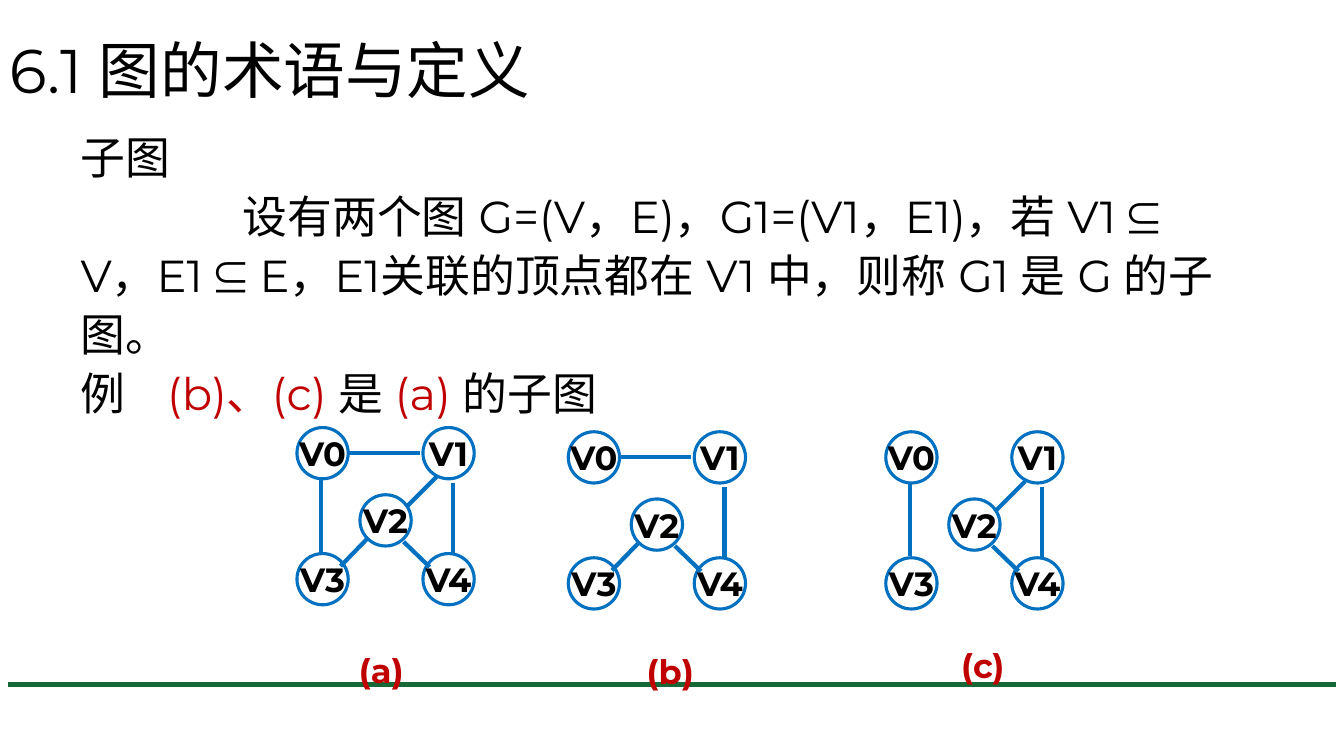
from lxml import etree
from pptx import Presentation
from pptx import util as u
from pptx.dml.color import RGBColor
from pptx.enum import shapes, text
from pptx.oxml import ns

BLACK = RGBColor(0x00, 0x00, 0x00)
RED = RGBColor(0xC0, 0x00, 0x00)
BLUE = RGBColor(0x00, 0x70, 0xC0)
GREEN = RGBColor(0x16, 0x69, 0x36)
LATIN, SYMBOL = "Montserrat", "Noto Sans CJK SC"
COLS, ROWS = 160, 90
NODE = 6.1

# Places inside one graph, in grid cells from its top left corner
NODES = {"V0": (0, 0), "V1": (15, 0), "V2": (7.5, 8), "V3": (0, 15), "V4": (15, 15)}
EDGES = {
    "V0-V1": (6.1, 3, 14.6, 3),
    "V0-V3": (2.9, 6.1, 2.9, 14.8),
    "V1-V4": (18.6, 6.6, 18.6, 15.2),
    "V1-V2": (16.6, 5.9, 13, 9.5),
    "V2-V3": (8.5, 13.1, 5.2, 16.5),
    "V2-V4": (12.7, 13.6, 15.8, 16.6),
}
# Graph corner, edges shown, caption, caption corner
GRAPHS = [
    ((35.35, 50.9), list(EDGES), "(a)", (38, 76.8)),
    ((67.65, 51.4), ["V0-V1", "V1-V4", "V2-V3", "V2-V4"], "(b)", (72.4, 76.9)),
    ((105.45, 51.4), ["V0-V3", "V1-V4", "V1-V2", "V2-V4"], "(c)", (109.6, 76.2)),
]


class Board:
    """One slide, measured in cells of a COLS by ROWS grid."""

    def __init__(self, prs):
        self.width, self.height = prs.slide_width, prs.slide_height
        self.slide = prs.slides.add_slide(prs.slide_layouts[6])

    def x(self, cols):
        return round(self.width * cols / COLS)

    def y(self, rows):
        return round(self.height * rows / ROWS)

    def box(self, left, top, width, height):
        return self.x(left), self.y(top), self.x(width), self.y(height)

    def font(self, font, size, color=BLACK, bold=False, name=LATIN):
        """Style a font, for Latin and East Asian letters alike."""
        font.size, font.bold, font.name = u.Pt(size), bold, name
        font.color.rgb = color
        latin = font._element.find(ns.qn("a:latin"))
        east = etree.Element(ns.qn("a:ea"), typeface=name)
        latin.addnext(east)

    def text(self, place, anchor=text.MSO_ANCHOR.TOP):
        tf = self.slide.shapes.add_textbox(*self.box(*place)).text_frame
        tf.word_wrap = True
        tf.vertical_anchor = anchor
        return tf

    def line(self, ends, color, width, parent=None):
        x1, y1, x2, y2 = ends
        line = (parent or self.slide).shapes.add_connector(
            shapes.MSO_CONNECTOR.STRAIGHT,
            self.x(x1), self.y(y1), self.x(x2), self.y(y2))
        line.line.color.rgb = color
        line.line.width = u.Pt(width)
        etree.SubElement(line._element.spPr, ns.qn("a:effectLst"))

    def node(self, group, label, left, top):
        sp = group.shapes.add_shape(
            shapes.MSO_SHAPE.OVAL, *self.box(left, top, NODE, NODE))
        sp.shadow.inherit = False
        sp.fill.background()
        sp.line.color.rgb = BLUE
        sp.line.width = u.Pt(2.25)
        tf = sp.text_frame
        tf.word_wrap = False
        tf.vertical_anchor = text.MSO_ANCHOR.MIDDLE
        p = tf.paragraphs[0]
        p.text = label
        p.alignment = text.PP_ALIGN.CENTER
        self.font(p.font, 24, bold=True)

    def graph(self, corner, edges):
        left, top = corner
        group = self.slide.shapes.add_group_shape()
        for edge in edges:
            x1, y1, x2, y2 = EDGES[edge]
            self.line((left + x1, top + y1, left + x2, top + y2), BLUE, 3, group)
        for label, (dx, dy) in NODES.items():
            self.node(group, label, left + dx, top + dy)

    def caption(self, label, corner):
        p = self.text((*corner, 14.8, 6)).paragraphs[0]
        p.text = label
        p.alignment = text.PP_ALIGN.CENTER
        self.font(p.font, 24, RED, bold=True)

    def title(self, words):
        p = self.text((0, 0, 138, 17.4), text.MSO_ANCHOR.MIDDLE).paragraphs[0]
        p.text = words
        p.line_spacing = 0.9
        self.font(p.font, 44)

    def body(self):
        tf = self.text((8.4, 14.2, 138, 57.1))
        heading, definition, example = [
            tf.paragraphs[0], tf.add_paragraph(), tf.add_paragraph()]
        for p in (heading, definition, example):
            p.line_spacing = 1.1

        heading.text = "子图"
        self.font(heading.font, 32)

        definition._p.get_or_add_pPr().set("indent", str(self.x(19.3)))
        subset = (" ⊆ ", 28, BLACK, SYMBOL)
        self.runs(definition, [
            ("设有两个图 G=(V，E)，G1=(V1，E1)，若 V1", 32, BLACK, LATIN),
            subset,
            ("V，E1", 32, BLACK, LATIN),
            subset,
            ("E，E1关联的顶点都在 V1 中，则称 G1 是 G 的子图。", 32, BLACK, LATIN),
        ])

        tabs = etree.SubElement(example._p.get_or_add_pPr(), ns.qn("a:tabLst"))
        etree.SubElement(tabs, ns.qn("a:tab"), pos=str(self.x(10.3)), algn="l")
        self.runs(example, [
            (words, 32, color, LATIN) for words, color in [
                ("例\t", BLACK), ("(b)、(c) ", RED), ("是 ", BLACK),
                ("(a) ", RED), ("的子图", BLACK)]])

    def runs(self, p, parts):
        for words, size, color, name in parts:
            r = p.add_run()
            r.text = words
            self.font(r.font, size, color, name=name)


def main():
    prs = Presentation()
    prs.slide_width, prs.slide_height = u.Inches(13.33), u.Inches(7.5)
    board = Board(prs)
    board.line((0.9, 81.5, 159.1, 81.5), GREEN, 3.75)
    board.title("6.1 图的术语与定义")
    board.body()
    for corner, edges, label, label_corner in GRAPHS:
        board.caption(label, label_corner)
        board.graph(corner, edges)
    prs.save("out.pptx")


if __name__ == "__main__":
    main()
